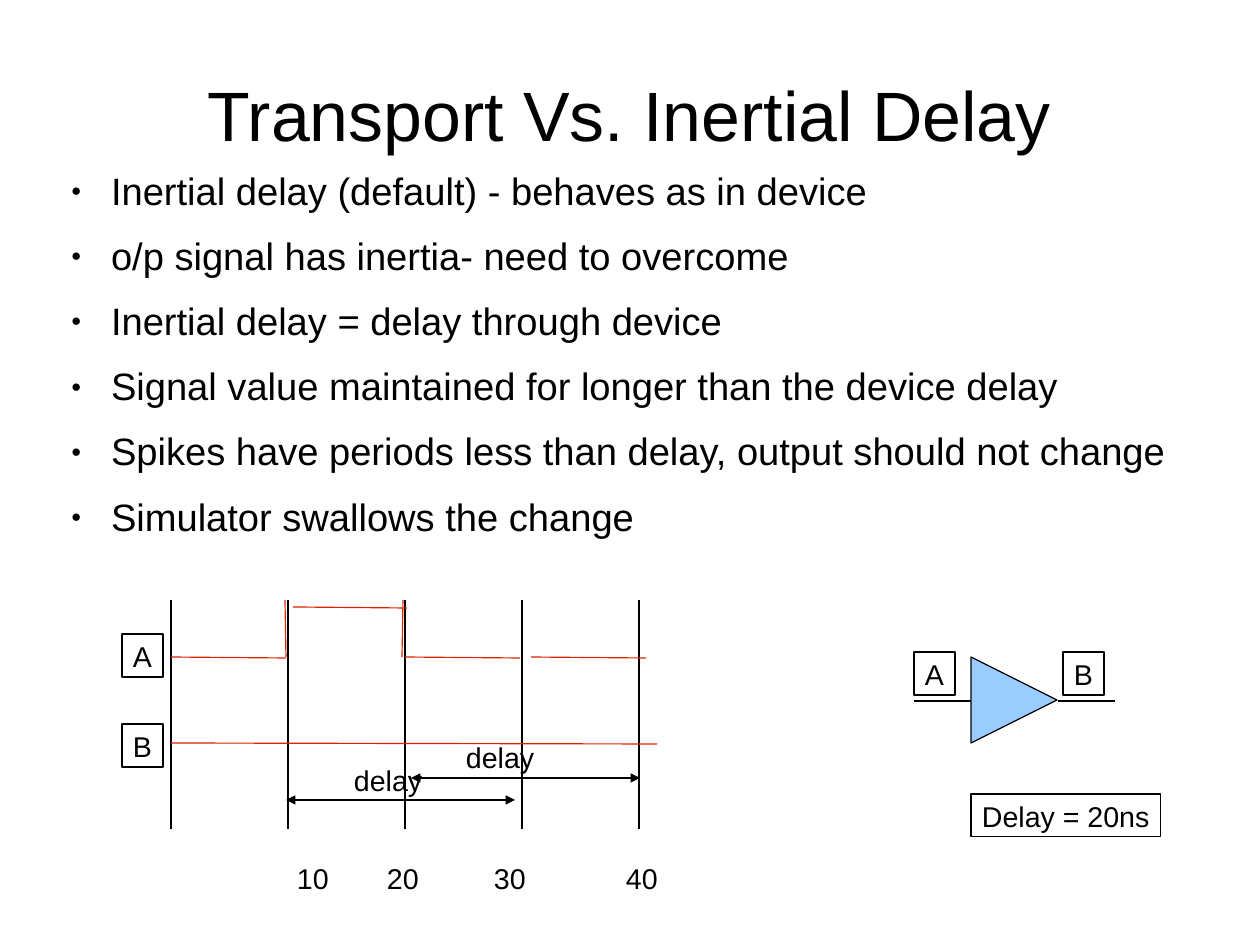
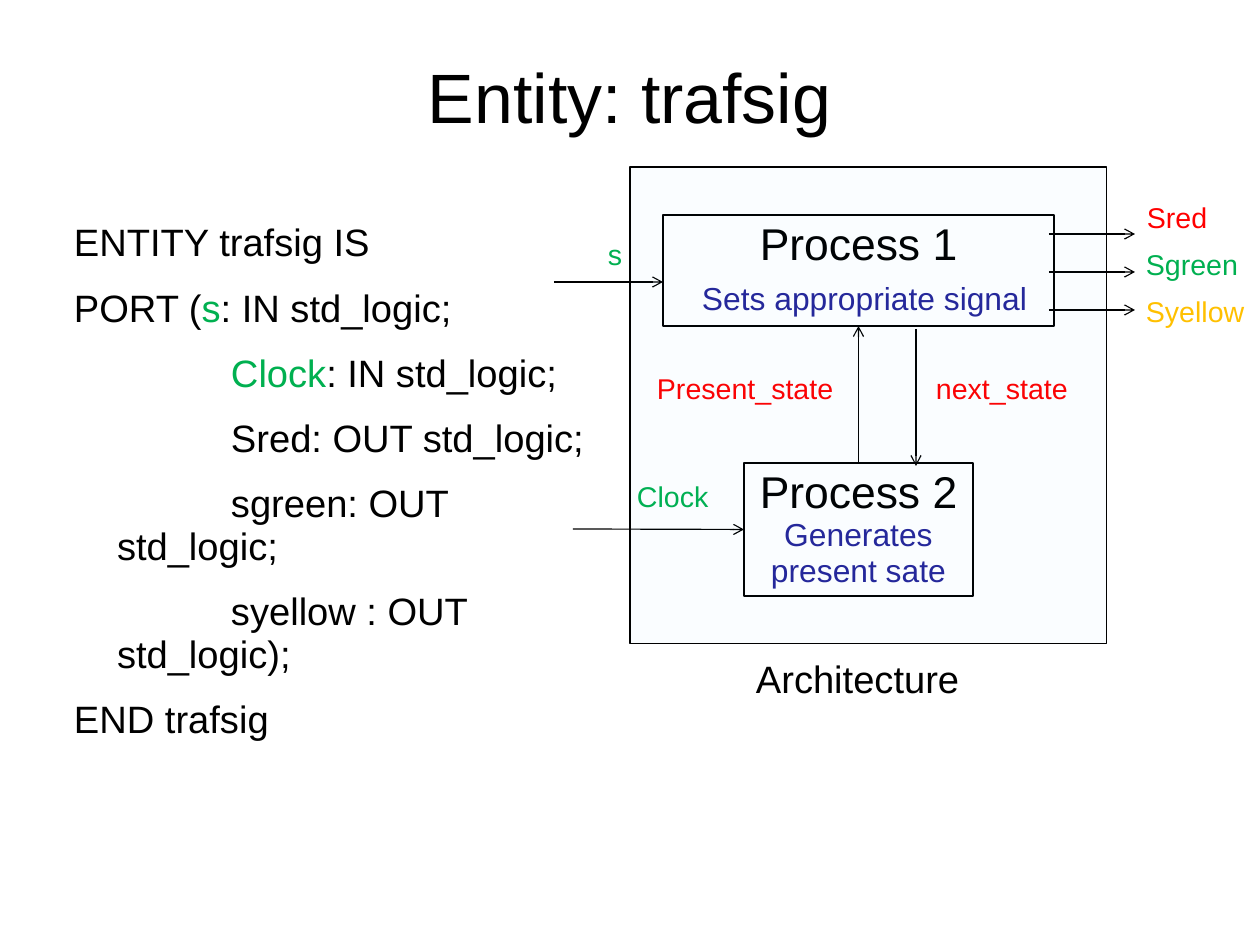
"""Build two slides on signal delay and the trafsig entity."""
import lxml.etree
import pptx
import pptx.dml.color
import pptx.enum.shapes
import pptx.enum.text
import pptx.oxml.ns
import pptx.util

PX = 8000
FONT = "Arial"
BLACK, RED, GREEN, AMBER = "000000", "FF0000", "00B050", "FFC000"
WAVE, NAVY, GATE, TINT = "DC2300", "262699", "99CCFF", "00B8FF"
THIN = pptx.util.Pt(0.75)

rgb = pptx.dml.color.RGBColor.from_string
qn = pptx.oxml.ns.qn
SHAPE = pptx.enum.shapes.MSO_SHAPE
ALIGN = pptx.enum.text.PP_ALIGN
ANCHOR = pptx.enum.text.MSO_ANCHOR


def write(shape, lines, insets=(11, 6, 11, 6), align=ALIGN.LEFT, wrap=True, after=0):
    """Fill a shape with paragraphs, each a list of (text, size, colour) runs."""
    frame = shape.text_frame
    frame.auto_size = pptx.enum.text.MSO_AUTO_SIZE.NONE
    frame.word_wrap = wrap
    frame.vertical_anchor = ANCHOR.TOP
    frame.margin_left, frame.margin_top, frame.margin_right, frame.margin_bottom = [
        inset * PX for inset in insets]
    for index, runs in enumerate(lines):
        paragraph = frame.add_paragraph() if index else frame.paragraphs[0]
        paragraph.alignment = align
        paragraph.line_spacing = 0.93
        paragraph.space_before = pptx.util.Pt(0)
        paragraph.space_after = pptx.util.Pt(after)
        for text, size, colour in runs:
            run = paragraph.add_run()
            run.text = text
            run.font.name = FONT
            run.font.size = pptx.util.Pt(size)
            run.font.color.rgb = rgb(colour)


def draw_line(slide, x1, y1, x2, y2, colour=BLACK, head=None, tail=None):
    """Draw a thin straight line with optional arrowheads."""
    line = slide.shapes.add_connector(
        pptx.enum.shapes.MSO_CONNECTOR.STRAIGHT, x1 * PX, y1 * PX, x2 * PX, y2 * PX)
    line.line.color.rgb = rgb(colour)
    line.line.width = THIN
    properties = line._element.spPr
    for tag, kind in (("a:headEnd", head), ("a:tailEnd", tail)):
        if kind:
            lxml.etree.SubElement(properties.find(qn("a:ln")), qn(tag), type=kind)
    lxml.etree.SubElement(properties, qn("a:effectLst"))
    return line


deck = pptx.Presentation()
deck.slide_width, deck.slide_height = 1260 * PX, 945 * PX

delay_points = [
    "Inertial delay (default) - behaves as in device",
    "o/p signal has inertia- need to overcome",
    "Inertial delay = delay through device",
    "Signal value maintained for longer than the device delay",
    "Spikes have periods less than delay, output should not change",
    "Simulator swallows the change",
]
entity_code = [
    [("ENTITY trafsig IS", 24, BLACK)],
    [("PORT (", 24, BLACK), ("s", 24, GREEN), (": IN std_logic;", 24, BLACK)],
    [("Clock", 24, GREEN), (": IN std_logic;", 24, BLACK)],
    [("Sred: OUT std_logic;", 24, BLACK)],
    [("sgreen: OUT std_logic;", 24, BLACK)],
    [("syellow : OUT std_logic);", 24, BLACK)],
    [("END trafsig", 24, BLACK)],
]
pages = [
    ("Transport Vs. Inertial Delay", (63, 43, 1134, 146), (0, 5, 0, 0), ANCHOR.MIDDLE,
     [[(point, 24, BLACK)] for point in delay_points], (57, 168, 1134, 429), (0, 3, 0, 0)),
    ("Entity: trafsig", (63, 57, 1134, 102), (11, 4, 11, 6), ANCHOR.TOP,
     entity_code, (63, 221, 549, 465), (11, 2, 11, 6)),
]
for heading, heading_box, heading_insets, anchor, content, content_box, content_insets in pages:
    slide = deck.slides.add_slide(deck.slide_layouts[1])
    title, body = slide.placeholders
    for part, box in ((title, heading_box), (body, content_box)):
        part.left, part.top, part.width, part.height = [length * PX for length in box]
    write(title, [[(heading, 44, BLACK)]], heading_insets, ALIGN.CENTER)
    title.text_frame.vertical_anchor = anchor
    write(body, content, content_insets, after=14.3)
delay_slide, entity_slide = deck.slides

for paragraph in delay_slide.placeholders[1].text_frame.paragraphs:
    properties = paragraph._p.get_or_add_pPr()
    properties.set("marL", str(54 * PX))
    properties.set("indent", str(-40 * PX))
    bullet_colour = lxml.etree.SubElement(properties, qn("a:buClr"))
    lxml.etree.SubElement(bullet_colour, qn("a:srgbClr"), val=BLACK)
    lxml.etree.SubElement(properties, qn("a:buSzPct"), val="45000")
    lxml.etree.SubElement(properties, qn("a:buChar"), char="●")

for index, paragraph in enumerate(entity_slide.placeholders[1].text_frame.paragraphs):
    properties = paragraph._p.get_or_add_pPr()
    properties.set("marL", str(43 * PX))
    properties.set("indent", str((114 if 2 <= index <= 5 else -43) * PX))
    lxml.etree.SubElement(properties, qn("a:buNone"))

for x in range(171, 640, 117):
    draw_line(delay_slide, x, 600, x, 829)

gate = delay_slide.shapes.add_shape(
    SHAPE.ISOSCELES_TRIANGLE, 971 * PX, 657 * PX, 86 * PX, 86 * PX)
gate.rotation = 90
gate.shadow.inherit = False
gate.fill.solid()
gate.fill.fore_color.rgb = rgb(GATE)
gate.line.color.rgb = rgb(BLACK)
gate.line.width = THIN
for x in (914, 1058):
    draw_line(delay_slide, x, 701, x + 57, 701)

for x1, y1, x2, y2 in [
    (171, 657, 286, 658), (286, 657, 285, 600), (293, 607, 407, 608),
    (402, 657, 403, 600), (405, 657, 520, 658), (531, 657, 646, 658),
    (171, 743, 657, 744),
]:
    draw_line(delay_slide, x1, y1, x2, y2, WAVE)

for text, x, y, width in [
    ("Delay = 20ns", 971, 794, 190), ("A", 914, 652, 41), ("B", 1063, 652, 41),
    ("A", 122, 634, 41), ("B", 122, 724, 41),
]:
    tag = delay_slide.shapes.add_shape(SHAPE.RECTANGLE, x * PX, y * PX, width * PX, 43 * PX)
    tag.shadow.inherit = False
    tag.fill.background()
    tag.line.color.rgb = rgb(BLACK)
    tag.line.width = THIN
    write(tag, [[(text, 18, BLACK)]], (11, 8, 11, 6), wrap=False)

for x, y in ((286, 800), (411, 778)):
    draw_line(delay_slide, x, y, x + 229, y, head="triangle", tail="triangle")

processes = []
for name, duty, x, y, width, height in [
    ("Process 1", [(" ", 28, BLACK), ("Sets appropriate signal", 20, NAVY)], 663, 215, 391, 111),
    ("Process 2", [("Generates present sate", 20, NAVY)], 744, 463, 229, 133),
]:
    process = entity_slide.shapes.add_shape(
        SHAPE.RECTANGLE, x * PX, y * PX, width * PX, height * PX)
    process.shadow.inherit = False
    process.fill.background()
    process.line.color.rgb = rgb(BLACK)
    process.line.width = THIN
    write(process, [[(name, 28, BLACK)], duty], align=ALIGN.CENTER)
    processes.append(process)
signal_setter, state_generator = processes

present_state = draw_line(entity_slide, 858, 326, 858, 463, head="arrow")
present_state.begin_connect(signal_setter, 2)
present_state.end_connect(state_generator, 0)
draw_line(entity_slide, 916, 329, 916, 466, tail="arrow")
clock = draw_line(entity_slide, 573, 529, 744, 529, tail="arrow")
clock.end_connect(state_generator, 1)
draw_line(entity_slide, 554, 282, 663, 282, tail="arrow")
for y in (234, 272, 310):
    draw_line(entity_slide, 1049, y, 1135, y, tail="arrow")

for slide, text, x, y, width, height, size, colour, top, wrap in [
    (delay_slide, "10", 286, 856, 54, 43, 18, BLACK, 8, False),
    (delay_slide, "20", 376, 856, 54, 43, 18, BLACK, 8, False),
    (delay_slide, "30", 483, 856, 54, 43, 18, BLACK, 8, False),
    (delay_slide, "40", 615, 856, 54, 43, 18, BLACK, 8, False),
    (delay_slide, "delay", 343, 758, 90, 43, 18, BLACK, 8, False),
    (delay_slide, "delay", 455, 735, 90, 43, 18, BLACK, 8, False),
    (entity_slide, "Present_state", 646, 368, 199, 43, 18, RED, 6, False),
    (entity_slide, "next_state", 925, 368, 154, 43, 18, RED, 6, False),
    (entity_slide, "Clock", 626, 476, 94, 43, 18, GREEN, 6, False),
    (entity_slide, "s", 597, 234, 37, 43, 18, GREEN, 6, False),
    (entity_slide, "Sred", 1136, 197, 83, 43, 18, RED, 6, True),
    (entity_slide, "Sgreen", 1135, 244, 126, 43, 18, GREEN, 6, True),
    (entity_slide, "Syellow", 1135, 291, 126, 43, 18, AMBER, 6, True),
    (entity_slide, "Architecture", 745, 654, 226, 54, 24, BLACK, 6, False),
]:
    label = slide.shapes.add_textbox(x * PX, y * PX, width * PX, height * PX)
    write(label, [[(text, size, colour)]], (11, top, 11, 6), wrap=wrap)

architecture = entity_slide.shapes.add_shape(
    SHAPE.RECTANGLE, 630 * PX, 167 * PX, 477 * PX, 477 * PX)
architecture.shadow.inherit = False
architecture.fill.solid()
architecture.fill.fore_color.rgb = rgb(TINT)
fill_colour = next(architecture._element.spPr.iter(qn("a:srgbClr")))
lxml.etree.SubElement(fill_colour, qn("a:alpha"), val="2000")
architecture.line.color.rgb = rgb(BLACK)
architecture.line.width = THIN

deck.save("out.pptx")
